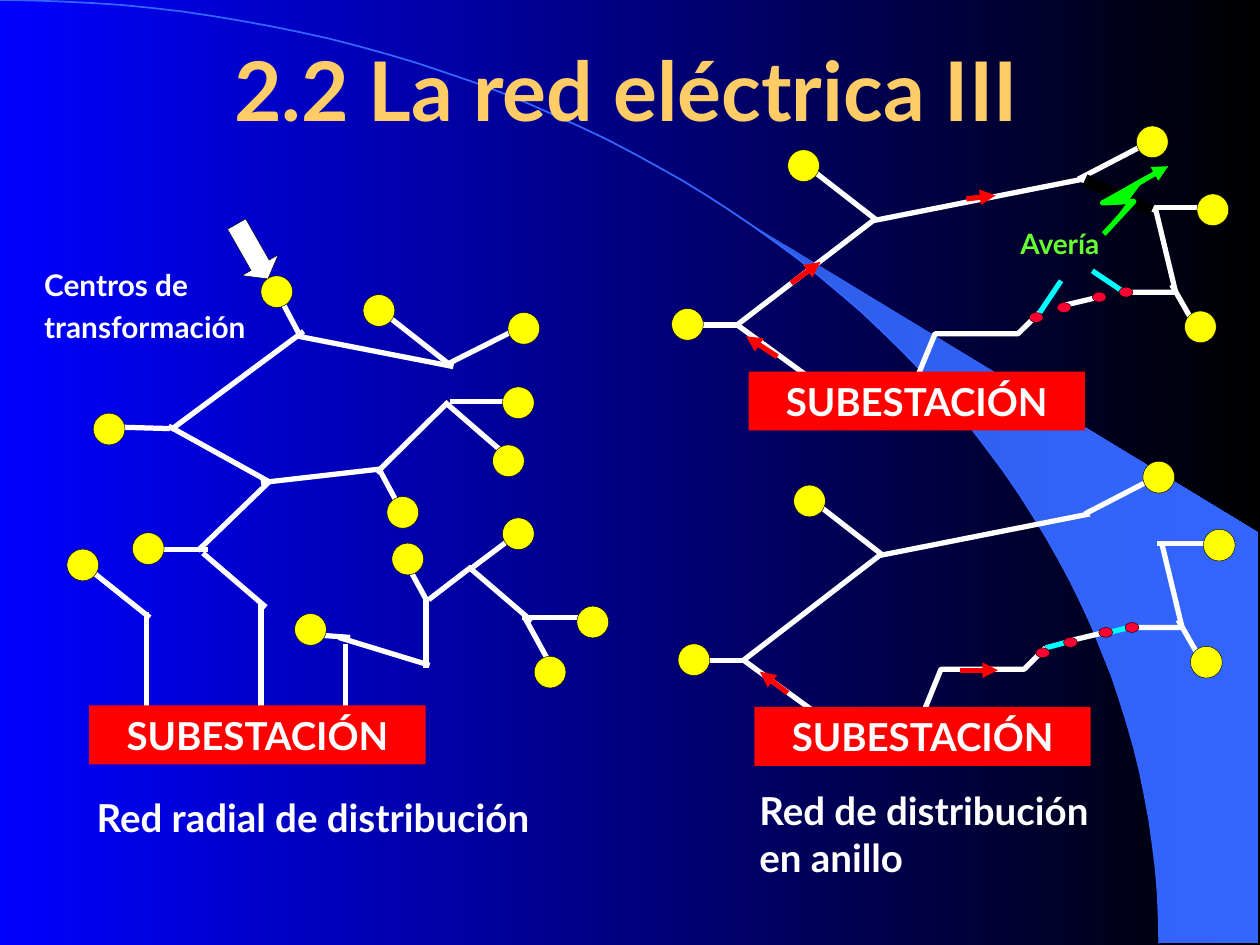
from dataclasses import dataclass
from math import asin, cos, pi, sin
from typing import Any

from lxml import etree
from pptx import Presentation
from pptx.dml.color import RGBColor
from pptx.enum.shapes import MSO_CONNECTOR, MSO_SHAPE
from pptx.enum.text import MSO_ANCHOR, PP_ALIGN
from pptx.oxml.ns import qn
from pptx.util import Cm, Pt

STRAIGHT = MSO_CONNECTOR.STRAIGHT
RECTANGLE, OVAL, RIGHT_ARROW = MSO_SHAPE.RECTANGLE, MSO_SHAPE.OVAL, MSO_SHAPE.RIGHT_ARROW
LEFT, CENTER = PP_ALIGN.LEFT, PP_ALIGN.CENTER
TOP, MIDDLE = MSO_ANCHOR.TOP, MSO_ANCHOR.MIDDLE
FONT = "Lato"
CM_PER_UNIT = 2.54
COLORS = {
    "blue": "0000FF", "black": "000000", "wedge": "2E5DE7", "arc": "3366FF",
    "title": "FFCC66", "cable": "FFFFFF", "substation": "FF0000", "flow": "FF0000",
    "transformer": "FFFF00", "switch": "FF0033", "tie": "00FFFF",
    "bolt": "00FF00", "fault": "66FF33",
}


def length(units):
    """Convert layout units to a length."""
    return Cm(round(units * CM_PER_UNIT, 2))


def color(name):
    """Look up a palette colour."""
    return RGBColor.from_string(COLORS[name])


def blend(fill, start, end):
    """Apply a left-to-right gradient between two palette colours."""
    fill.gradient()
    fill.gradient_angle = 0
    for stop, name in zip(fill.gradient_stops, (start, end)):
        stop.color.rgb = color(name)


def write(frame, lines, size, ink, align=LEFT, anchor=TOP, shadow=False, before=0):
    """Fill a text frame with bold lines."""
    frame.vertical_anchor = anchor
    for number, line in enumerate(lines):
        paragraph = frame.paragraphs[0] if number == 0 else frame.add_paragraph()
        run = paragraph.add_run()
        run.text = line
        paragraph.alignment = align
        paragraph.space_before = Pt(before)
        font = paragraph.font
        font.name, font.size, font.bold = FONT, Pt(size), True
        font.color.rgb = color(ink)
        if shadow:
            effects = etree.SubElement(run._r.get_or_add_rPr(), qn("a:effectLst"))
            cast = etree.SubElement(effects, qn("a:outerShdw"), dist="35921", dir="2700000")
            etree.SubElement(cast, qn("a:srgbClr"), val=COLORS["black"])


@dataclass
class Region:
    """A part of the slide whose contents are placed from its top-left corner."""
    slide: Any
    left: float
    top: float

    def at(self, x, y):
        """Give the slide position of a point in the region."""
        return length(self.left + x), length(self.top + y)

    def line(self, x1, y1, x2, y2, ink="cable", width=3, arrow=False):
        """Draw a straight line, optionally with an arrowhead."""
        wire = self.slide.shapes.add_connector(STRAIGHT, *self.at(x1, y1), *self.at(x2, y2))
        wire.line.color.rgb = color(ink)
        wire.line.width = Pt(width)
        if arrow:
            etree.SubElement(wire.line._get_or_add_ln(), qn("a:tailEnd"), type="triangle")
        etree.SubElement(wire._element.spPr, qn("a:effectLst"))

    def outline(self, points, ink="cable", width=3, closed=False):
        """Draw an unfilled outline through the points."""
        start, *rest = [self.at(x, y) for x, y in points]
        builder = self.slide.shapes.build_freeform(*start)
        builder.add_line_segments(rest, close=closed)
        drawn = builder.convert_to_shape()
        drawn.shadow.inherit = False
        drawn.fill.background()
        drawn.line.color.rgb = color(ink)
        drawn.line.width = Pt(width)
        return drawn

    def shape(self, kind, x, y, width, height, ink, edge=True):
        """Draw a filled preset shape."""
        drawn = self.slide.shapes.add_shape(kind, *self.at(x, y), length(width), length(height))
        drawn.shadow.inherit = False
        drawn.fill.solid()
        drawn.fill.fore_color.rgb = color(ink)
        if edge:
            drawn.line.color.rgb = color("black")
            drawn.line.width = Pt(0.25)
        else:
            drawn.line.fill.background()
        return drawn

    def label(self, x, y, width, height, lines, size, ink="cable", wrap=True, **style):
        """Place a text box."""
        box = self.slide.shapes.add_textbox(*self.at(x, y), length(width), length(height))
        box.text_frame.word_wrap = wrap
        write(box.text_frame, lines, size, ink, **style)

    def transformers(self, corners):
        """Draw a transformer at each corner position."""
        for x, y in corners:
            self.shape(OVAL, x, y, 0.25, 0.25, "transformer")

    def substation(self, x, y):
        """Draw the substation block."""
        block = self.shape(RECTANGLE, x, y, 2.67, 0.47, "substation", edge=False)
        write(block.text_frame, ["SUBESTACIÓN"], 22, "cable", CENTER, MIDDLE)


def draw_backdrop(region):
    """Draw the gradient, the arc and the wedge beside it."""
    blend(region.slide.background.fill, "blue", "black")
    width, height, steps = 9.2, 7.49, 60

    def arc(start):
        angles = [start + (pi / 2 - start) * step / steps for step in range(steps + 1)]
        return [(width * sin(a), height * (1 - cos(a))) for a in angles]

    corners = [(9.99, height), (9.99, 4.23)]
    wedge = region.outline(arc(asin(5.89 / width)) + corners, closed=True)
    blend(wedge.fill, "wedge", "arc")
    wedge.line.fill.background()
    region.outline(arc(0), "arc", 1)


def draw_radial(region):
    """Draw the radial distribution network."""
    for cable in [
        (1.16, 4.44, 1.16, 3.36), (2.74, 4.44, 2.74, 3.61), (2.07, 4.36, 2.07, 3.28),
        (2.11, 3.32, 1.61, 2.89), (1.57, 2.87, 2.14, 2.32), (2.15, 2.33, 1.34, 1.88),
        (1.36, 1.91, 2.41, 1.13), (2.37, 1.17, 3.6, 1.41), (3.58, 1.4, 3.05, 0.99),
        (2.07, 2.33, 3.04, 2.22), (2.99, 2.25, 3.56, 1.69), (3.19, 2.56, 3.01, 2.23),
        (4.05, 2.14, 3.55, 1.71), (3.57, 1.69, 4.16, 1.69), (3.41, 3.78, 2.69, 3.56),
        (3.38, 3.8, 3.38, 3.24), (1.19, 3.4, 0.66, 2.98), (3.4, 3.26, 3.74, 3),
        (4.22, 3.43, 3.72, 3), (4.14, 3.4, 4.66, 3.4), (3.39, 3.27, 3.21, 2.94),
        (2.78, 3.56, 2.41, 3.53), (4.06, 2.77, 3.73, 3.02), (4.35, 3.74, 4.17, 3.41),
        (1.13, 2.86, 1.65, 2.86), (0.93, 1.89, 1.35, 1.9), (2.39, 1.18, 2.21, 0.84),
        (3.55, 1.39, 4.13, 1.1),
    ]:
        region.line(*cable)
    region.substation(0.71, 4.1)
    region.transformers([
        (4.58, 3.31), (4.24, 3.71), (3.99, 2.61), (3.11, 2.81), (2.34, 3.37),
        (1.05, 2.73), (0.53, 2.86), (3.99, 1.57), (3.91, 2.03), (3.07, 2.44),
        (0.74, 1.78), (4.03, 0.98), (2.88, 0.84), (2.07, 0.69),
    ])
    region.label(0.25, 0.57, 2.17, 0.72, ["Centros de", "transformación"], 17, before=3.4)
    pointer = region.shape(RIGHT_ARROW, 1.75, 0.33, 0.5, 0.33, "cable")
    pointer.adjustments[0], pointer.adjustments[1] = 0.5, 0.375
    pointer.rotation = 60.3
    region.label(0.67, 4.75, 4, 0.83, ["Red radial de distribución"], 22, shadow=True)


def draw_ring(region, ties, flows):
    """Draw a ring network with its switch ties and flow arrows."""
    region.outline([(1.92, 2.07), (2.09, 1.65), (2.75, 1.65), (2.92, 1.48)])
    region.outline([(1.1, 2), (0.52, 1.58), (1.6, 0.75), (3.27, 0.42)])
    region.outline([(3.84, 0.65), (4, 1.32), (3.59, 1.32)])
    for tie in ties:
        region.line(*tie, "tie")
    for cable in [
        (1.62, 0.74, 1.09, 0.33), (0, 1.58, 0.52, 1.58), (3.23, 0.42, 3.81, 0.12),
        (4.16, 1.59, 3.97, 1.26), (3.8, 0.65, 4.28, 0.65), (3.09, 1.43, 3.42, 1.35),
    ]:
        region.line(*cable)
    region.transformers([(0.92, 0.19), (0, 1.45), (3.69, 0), (4.17, 0.54), (4.07, 1.47)])
    for x, y in [(3.55, 1.28), (3.34, 1.32), (3.06, 1.4), (2.84, 1.48)]:
        region.shape(OVAL, x, y, 0.11, 0.08, "switch")
    region.substation(0.61, 1.95)
    for flow in flows:
        region.line(*flow, "flow", arrow=True)


def draw_fault(region):
    """Draw the broken cable, the lightning bolt and its label."""
    region.line(0.58, 0.12, 1.17, 0.37)
    region.line(0.61, 0.13, 1.14, 0.37, "black", 7)
    bolt = region.outline([(0.76, 0.56), (1, 0.3), (0.75, 0.31), (1.08, 0.13)], "bolt")
    bolt.fill.solid()
    bolt.fill.fore_color.rgb = color("bolt")
    region.line(0.95, 0.2, 1.27, 0.02, "bolt", arrow=True)
    region.label(0, 0.45, 0.91, 0.37, ["Avería"], 16, "fault", wrap=False, before=3.2)


def main():
    """Build and save the slide."""
    deck = Presentation()
    deck.slide_width, deck.slide_height = length(10), length(7.5)
    slide = deck.slides.add_slide(deck.slide_layouts[6])
    page = Region(slide, 0, 0)
    draw_backdrop(page)
    page.label(0.75, 0.08, 8.44, 1.25, ["2.2 La red eléctrica III"], 47, "title",
               align=CENTER, anchor=MIDDLE, shadow=True)
    draw_radial(Region(slide, 0, 1.5))
    draw_ring(
        Region(slide, 5.33, 1),
        ties=[(3.59, 1.32, 3.34, 1.15), (2.92, 1.48, 3.09, 1.23)],
        flows=[(0.84, 1.83, 0.59, 1.67), (0.95, 1.25, 1.18, 1.08), (2.34, 0.58, 2.57, 0.55)])
    draw_fault(Region(slide, 8, 1.3))
    closed_ring = Region(slide, 5.38, 3.66)
    draw_ring(
        closed_ring,
        ties=[(3.58, 1.32, 3.42, 1.36), (2.92, 1.48, 3.08, 1.44)],
        flows=[(2.24, 1.66, 2.54, 1.66), (0.87, 1.84, 0.65, 1.67)])
    closed_ring.label(0.55, 2.54, 3.25, 0.83, ["Red de distribución", "en anillo"], 22, shadow=True)
    deck.save("out.pptx")


if __name__ == "__main__":
    main()
